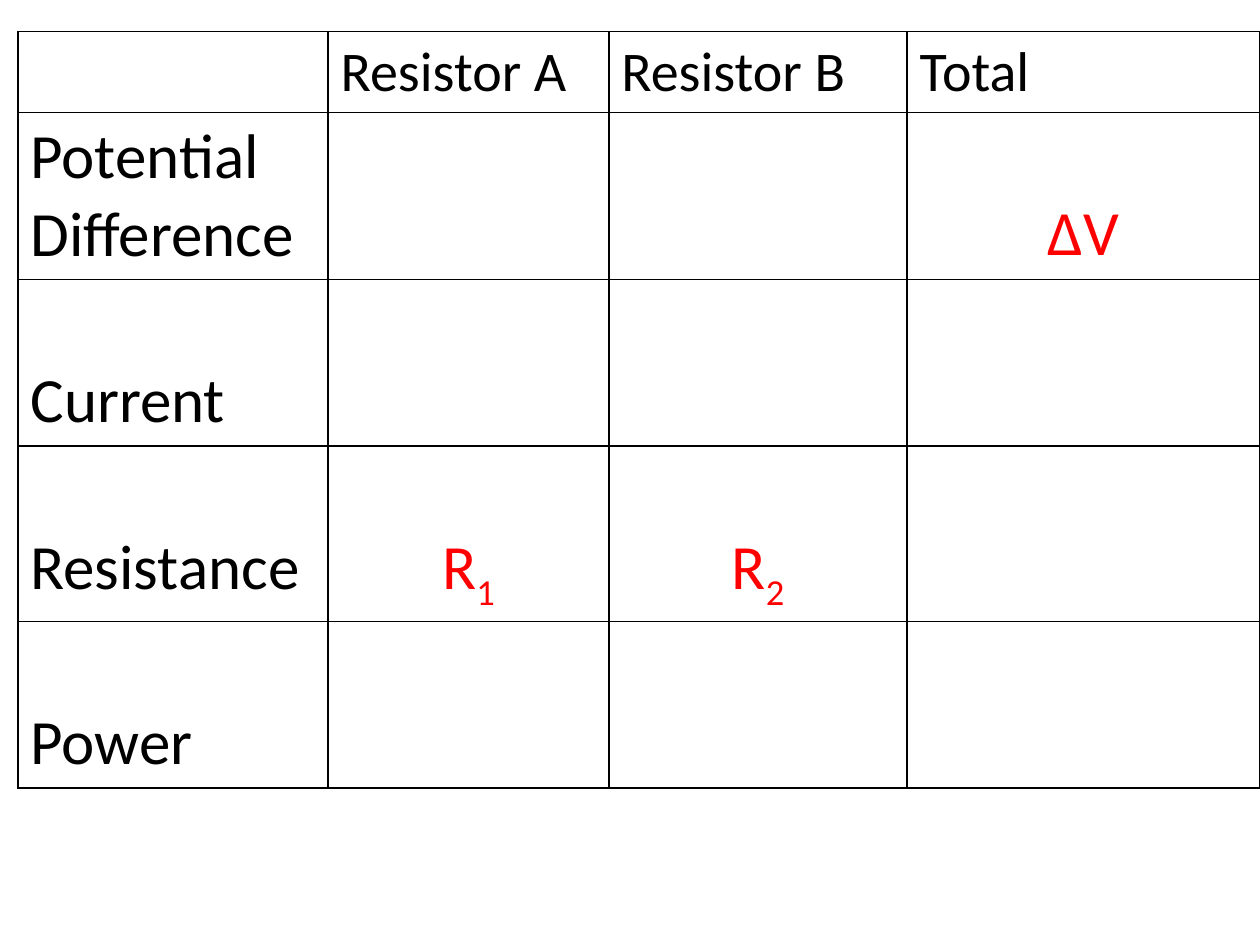
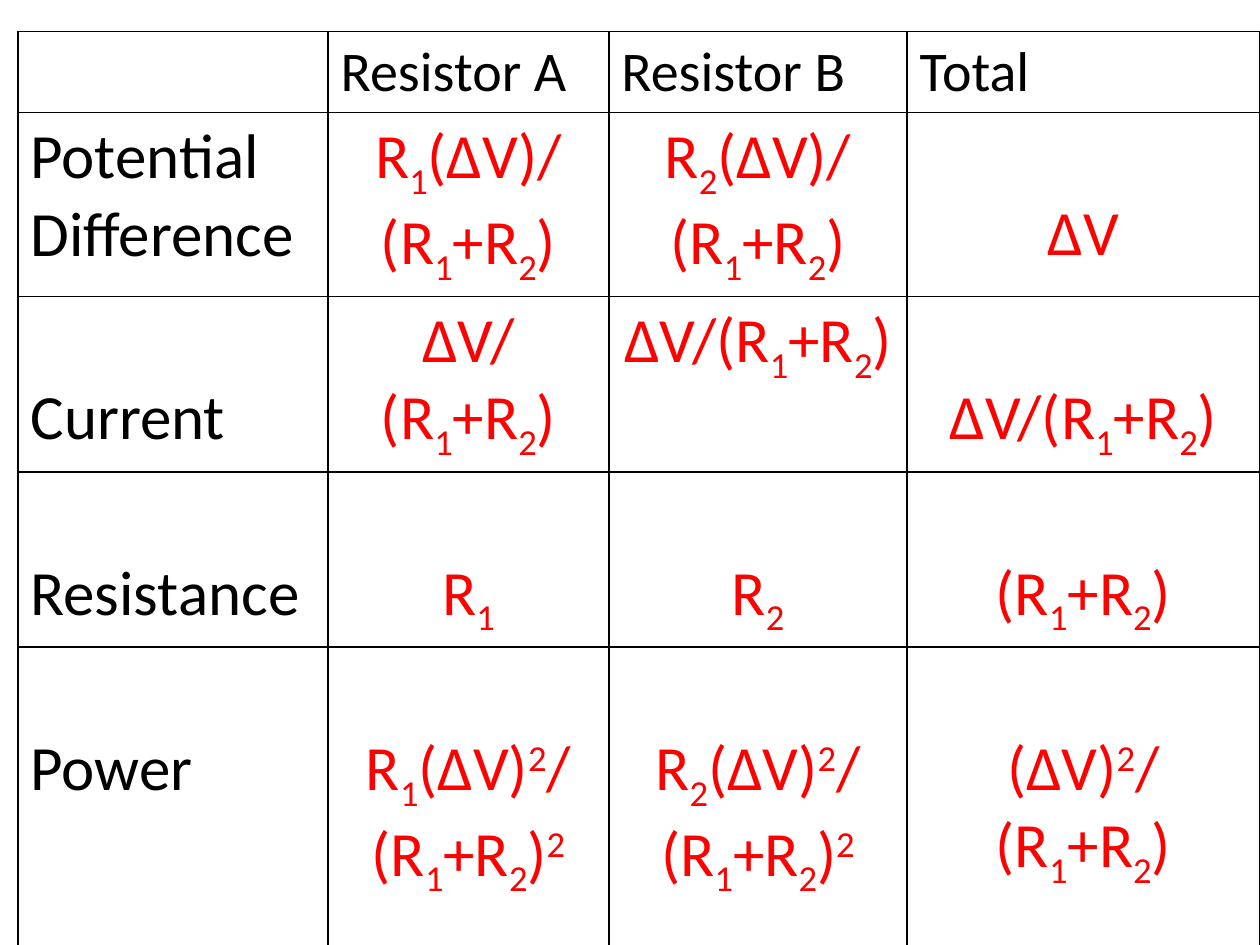
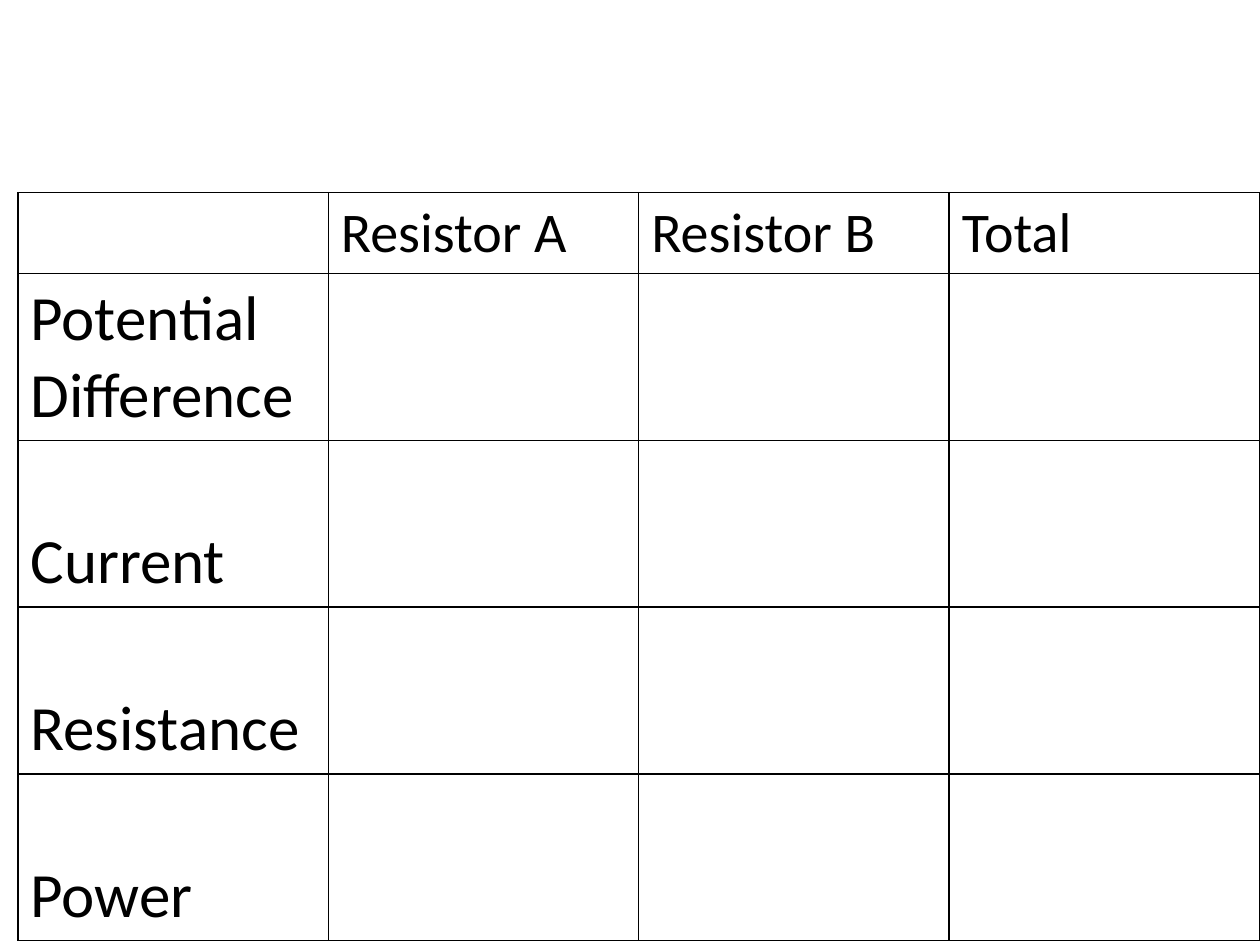
"""Build three slides of series-circuit tables: givens, solution and blank form."""
from dataclasses import dataclass

from lxml import etree
from pptx import Presentation
from pptx import util as u
from pptx.dml.color import RGBColor
from pptx.enum import text
from pptx.oxml.ns import qn


@dataclass(frozen=True)
class Theme:
    font: str = "Calibri"
    ink: str = "000000"
    answer: str = "FF0000"
    heading_size: float = 32
    body_size: float = 36
    rule_width: float = 1
    padding: float = 3.6
    dropped_line: float = 43.95


THEME = Theme()
PAGE = (720, 540)
TABLE_LEFT = 10.2
HEADING_HEIGHT = 46.3
HEADINGS = ["", "Resistor A", "Resistor B", "Total"]
QUANTITIES = ["Potential Difference", "Current", "Resistance", "Power"]
BASELINES = {"_": "-25000", "^": "30000"}
WORKED_COLUMNS = [177.3, 160.4, 170.5, 201.4]

TABLES = [
    {
        "top": 18,
        "columns": WORKED_COLUMNS,
        "heights": [95.3, 95.3, 100.2, 95.3],
        "answers": [["", "", "ΔV"], ["", "", ""], ["R_1", "R_2", ""], ["", "", ""]],
        "undropped": {(1, 0)},
    },
    {
        "top": 18,
        "columns": WORKED_COLUMNS,
        "heights": [105.1, 100.2, 100.2, 172],
        "answers": [
            ["R_1(ΔV)/(R_1+R_2)", "R_2(ΔV)/(R_1+R_2)", "ΔV"],
            ["ΔV/(R_1+R_2)"] * 3,
            ["R_1", "R_2", "(R_1+R_2)"],
            ["R_1(ΔV)^2/(R_1+R_2)^2", "R_2(ΔV)^2/(R_1+R_2)^2", "(ΔV)^2/(R_1+R_2)"],
        ],
        "undropped": {(1, 0), (1, 1), (1, 2), (2, 1), (2, 2)},
    },
    {
        "top": 110,
        "columns": [177.4] * 4,
        "heights": [95.3] * 4,
        "answers": [["", "", ""]] * 4,
        "undropped": {(1, 0)},
    },
]


def split_formula(formula):
    """Yield (text, baseline) pieces, where _ and ^ each shift one character."""
    plain = ""
    marks = iter(formula)
    for mark in marks:
        if mark in BASELINES:
            yield plain, None
            yield next(marks), BASELINES[mark]
            plain = ""
        else:
            plain += mark
    if plain:
        yield plain, None


def write(cell, wording, size, color, align):
    """Write wording with its subscripts and superscripts into a cell."""
    line = cell.text_frame.paragraphs[0]
    line.alignment = align
    for piece, baseline in split_formula(wording):
        run = line.add_run()
        run.text = piece
        run.font.name = THEME.font
        run.font.size = u.Pt(size)
        run.font.color.rgb = RGBColor.from_string(color)
        if baseline:
            run.font._element.set("baseline", baseline)


def rule_cell(cell):
    """Clear the cell's fill and rule its four sides."""
    cell.fill.background()
    properties = cell._tc.get_or_add_tcPr()
    for place, side in enumerate(("a:lnL", "a:lnR", "a:lnT", "a:lnB")):
        rule = etree.Element(qn(side), w=str(u.Pt(THEME.rule_width)))
        paint = etree.SubElement(rule, qn("a:solidFill"))
        etree.SubElement(paint, qn("a:srgbClr"), val=THEME.ink)
        properties.insert(place, rule)


def add_circuit_table(slide, plan):
    """Add one circuit table to a slide."""
    heights = [HEADING_HEIGHT, *plan["heights"]]
    rows = [HEADINGS] + [[name, *found] for name, found in zip(QUANTITIES, plan["answers"])]
    box = [TABLE_LEFT, plan["top"], sum(plan["columns"]), sum(heights)]
    circuit = slide.shapes.add_table(len(rows), len(HEADINGS), *map(u.Pt, box)).table
    circuit.first_row = circuit.horz_banding = False
    for column, width in zip(circuit.columns, plan["columns"]):
        column.width = u.Pt(width)
    for r, (wordings, height) in enumerate(zip(rows, heights)):
        circuit.rows[r].height = u.Pt(height)
        for c, wording in enumerate(wordings):
            cell = circuit.cell(r, c)
            rule_cell(cell)
            if not wording:
                continue
            is_answer = r > 0 and c > 0
            dropped = r > 0 and (r, c) not in plan["undropped"]
            cell.margin_top = u.Pt(THEME.padding + dropped * THEME.dropped_line)
            write(
                cell,
                wording,
                THEME.body_size if r else THEME.heading_size,
                THEME.answer if is_answer else THEME.ink,
                text.PP_ALIGN.CENTER if is_answer else text.PP_ALIGN.LEFT,
            )


deck = Presentation()
deck.slide_width, deck.slide_height = map(u.Pt, PAGE)
for plan in TABLES:
    add_circuit_table(deck.slides.add_slide(deck.slide_layouts[6]), plan)
deck.save("out.pptx")
